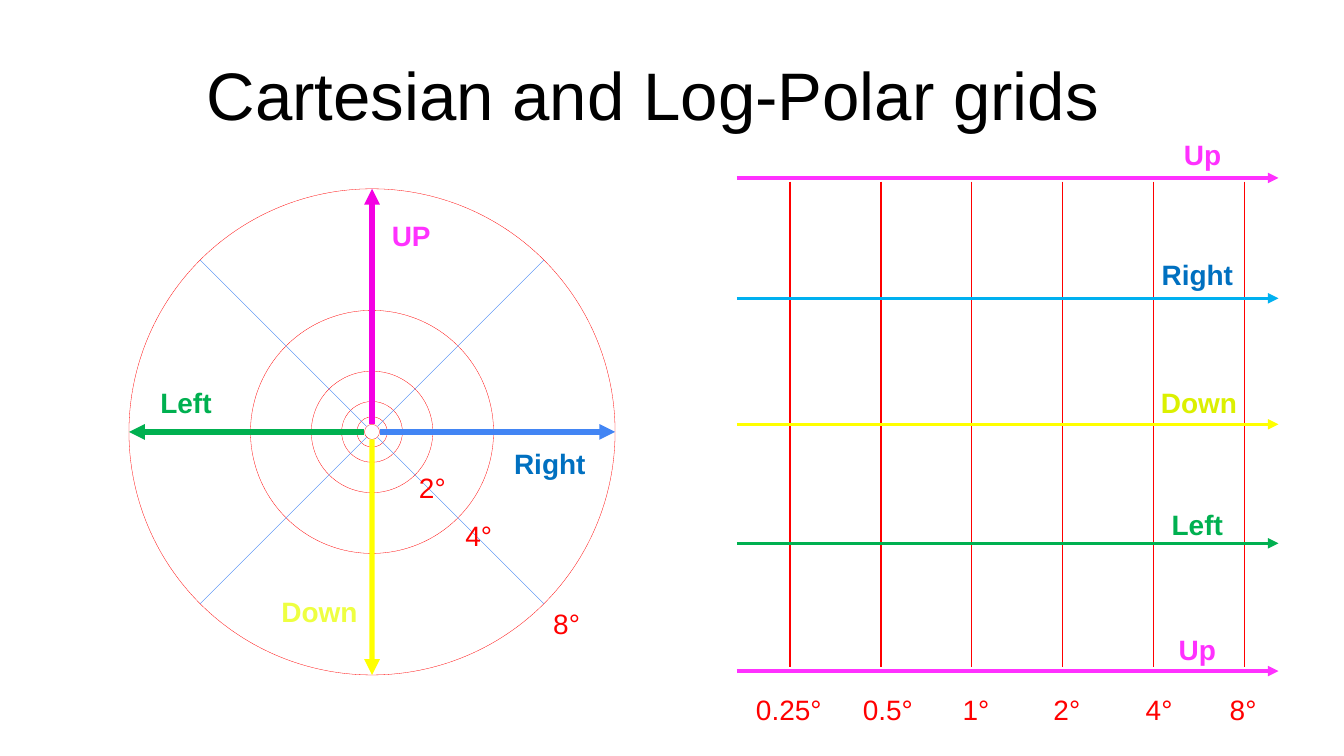
from math import cos, radians, sin

from lxml import etree
from pptx import Presentation
from pptx.dml.color import RGBColor
from pptx.enum.shapes import MSO_CONNECTOR, MSO_SHAPE
from pptx.enum.text import MSO_ANCHOR, PP_ALIGN
from pptx.oxml.ns import qn
from pptx.util import Cm, Pt

STRAIGHT = MSO_CONNECTOR.STRAIGHT
OVAL = MSO_SHAPE.OVAL
LEFT, CENTER = PP_ALIGN.LEFT, PP_ALIGN.CENTER

FONT = "Arial"
RED, BLUE, GREEN, YELLOW = "FF0000", "4285F4", "00B050", "FFFF00"
PINK, LABEL_BLUE = "FF31FF", "0070C0"
TITLE = "Cartesian and Log-Polar grids"

# Polar grid, lengths in cm
CENTER_X, CENTER_Y = 11.25, 13.06
OUTER_RADIUS, RING_COUNT = 7.35, 6
AXIS_COLORS = {0: BLUE, 90: "F400E3", 180: GREEN, 270: YELLOW}

# Cartesian grid, lengths in cm
COLUMN_LEFT, COLUMN_GAP, COLUMN_COUNT = 23.88, 2.75, 6
COLUMN_TOP, COLUMN_BOTTOM = 5.49, 20.17
ROW_LEFT, ROW_RIGHT = 22.28, 38.66
ROWS = [(5.38, PINK), (9.02, "00B0F0"), (12.83, YELLOW), (16.43, GREEN), (20.29, PINK)]

# text, color, left, top, width, alignment
DIRECTION_LABELS = [
    ("Up", PINK, 34.93, 4.04, 2.87, CENTER),
    ("Right", LABEL_BLUE, 34.77, 7.65, 2.87, CENTER),
    ("Down", "DBF000", 34.54, 11.53, 3.43, CENTER),
    ("Left", GREEN, 34.77, 15.21, 2.87, CENTER),
    ("Up", PINK, 34.77, 19.0, 2.87, CENTER),
    ("UP", PINK, 11.1, 6.48, 2.67, CENTER),
    ("Right", LABEL_BLUE, 15.19, 13.39, 2.87, CENTER),
    ("Left", GREEN, 4.19, 11.53, 2.87, CENTER),
    ("Down", "EEFF41", 8.26, 17.86, 2.87, LEFT),
]
RING_LABELS = [("2°", 12.42, 14.1), ("4°", 13.82, 15.54), ("8°", 16.48, 18.21)]
SCALE = ["0.25°", "0.5°", "1°", "2°", "4°", "8°"]
SCALE_TABS = [3.99, 6.65, 9.4, 12.19, 14.73]


def rgb(color):
    return RGBColor.from_string(color)


def add_line(slide, start, end, color, width, arrow=False):
    line = slide.shapes.add_connector(STRAIGHT, *[Cm(value) for value in (*start, *end)])
    line.line.color.rgb = rgb(color)
    line.line.width = Pt(width)
    if arrow:
        etree.SubElement(line.line._get_or_add_ln(), qn("a:tailEnd"), type="triangle")
    etree.SubElement(line._element.spPr, qn("a:effectLst"))


def add_ring(slide, radius):
    ring = slide.shapes.add_shape(
        OVAL, Cm(CENTER_X - radius), Cm(CENTER_Y - radius), Cm(2 * radius), Cm(2 * radius))
    ring.shadow.inherit = False
    ring.fill.background()
    ring.line.color.rgb = rgb(RED)
    ring.line.width = Pt(0.25)


def polar_point(radius, angle):
    return (CENTER_X + radius * cos(radians(angle)), CENTER_Y - radius * sin(radians(angle)))


def format_paragraph(paragraph, size, color, bold=False, alignment=LEFT):
    paragraph.alignment = alignment
    paragraph.font.name = FONT
    paragraph.font.size = Pt(size)
    paragraph.font.bold = bold
    paragraph.font.color.rgb = rgb(color)


def add_label(slide, text, color, left, top, width, alignment=LEFT, bold=False, tabs=()):
    box = slide.shapes.add_textbox(Cm(left), Cm(top), Cm(width), Cm(1.27))
    box.text_frame.word_wrap = True
    paragraph = box.text_frame.paragraphs[0]
    paragraph.text = text
    if tabs:
        tab_list = etree.SubElement(paragraph._p.get_or_add_pPr(), qn("a:tabLst"))
        for position in tabs:
            etree.SubElement(tab_list, qn("a:tab"), pos=str(Cm(position)), algn="ctr")
    format_paragraph(paragraph, 24, color, bold, alignment)


def add_title(slide):
    title = slide.shapes.title
    title.left, title.top, title.width, title.height = Cm(5.99), Cm(1.47), Cm(27.89), Cm(2.72)
    title.text_frame.text = TITLE
    title.text_frame.vertical_anchor = MSO_ANCHOR.MIDDLE
    format_paragraph(title.text_frame.paragraphs[0], 57.6, "000000")


def add_polar_grid(slide):
    radii = [OUTER_RADIUS / 2 ** step for step in range(RING_COUNT)]
    for radius in radii:
        add_ring(slide, radius)
    for angle in range(0, 360, 45):
        is_axis = angle in AXIS_COLORS
        add_line(slide, polar_point(radii[-1], angle), polar_point(OUTER_RADIUS, angle),
                 AXIS_COLORS.get(angle, BLUE), 4.5 if is_axis else 0.25, is_axis)


def add_cartesian_grid(slide):
    for column in range(COLUMN_COUNT):
        x = COLUMN_LEFT + column * COLUMN_GAP
        add_line(slide, (x, COLUMN_TOP), (x, COLUMN_BOTTOM), RED, 1.5)
    for y, color in ROWS:
        add_line(slide, (ROW_LEFT, y), (ROW_RIGHT, y), color, 3, True)


def main():
    presentation = Presentation()
    presentation.slide_width, presentation.slide_height = Cm(40.64), Cm(22.86)
    slide = presentation.slides.add_slide(presentation.slide_layouts[5])
    add_title(slide)
    add_polar_grid(slide)
    add_cartesian_grid(slide)
    for label in DIRECTION_LABELS:
        add_label(slide, *label, bold=True)
    for text, left, top in RING_LABELS:
        add_label(slide, text, RED, left, top, 1.35)
    add_label(slide, "\t".join(SCALE), RED, 22.61, 20.83, 16.38, tabs=SCALE_TABS)
    presentation.save("out.pptx")


if __name__ == "__main__":
    main()
